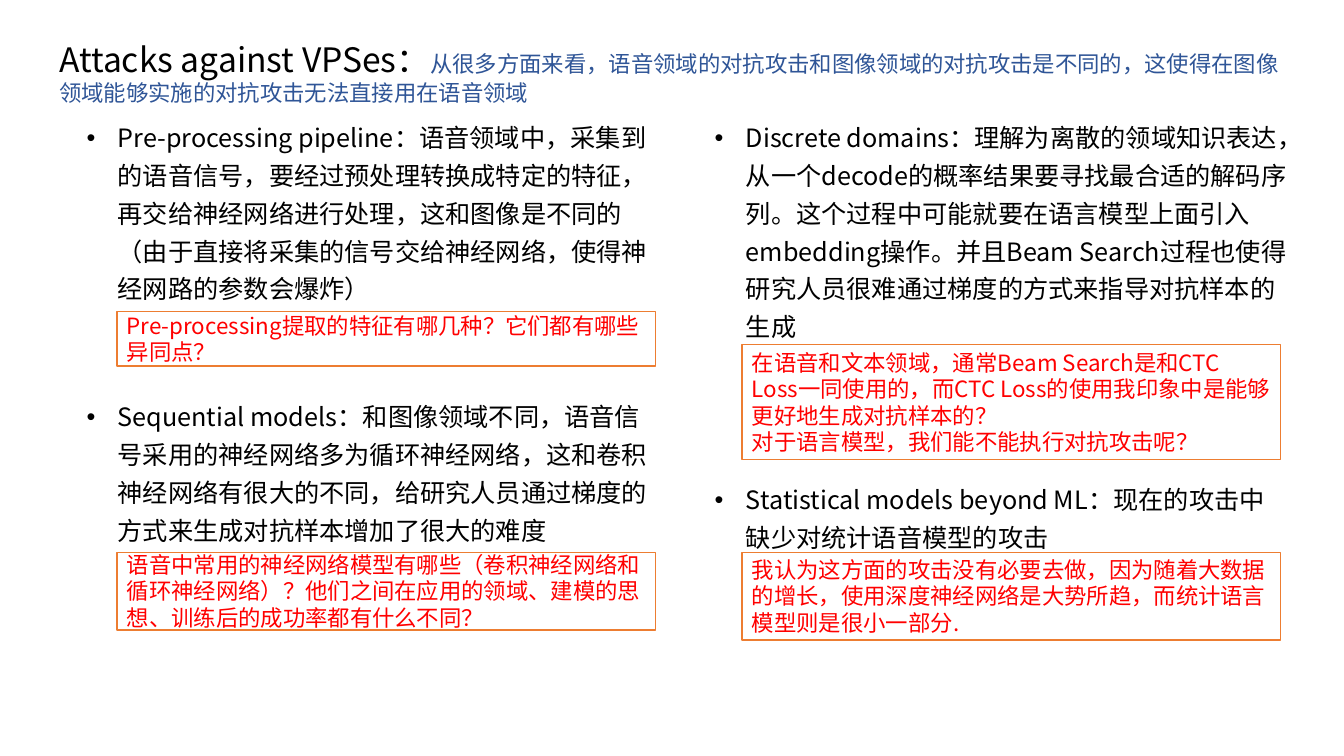
from dataclasses import dataclass

from lxml import etree
from pptx import Presentation
from pptx.dml.color import RGBColor
from pptx.enum.lang import MSO_LANGUAGE_ID
from pptx.enum.shapes import MSO_SHAPE
from pptx.enum.text import MSO_ANCHOR, PP_ALIGN
from pptx.oxml.ns import qn
from pptx.util import Inches, Pt

RECTANGLE = MSO_SHAPE.RECTANGLE
MIDDLE, TOP = MSO_ANCHOR.MIDDLE, MSO_ANCHOR.TOP
LEFT = PP_ALIGN.LEFT
CHINESE = MSO_LANGUAGE_ID.SIMPLIFIED_CHINESE

FONT = "Noto Sans CJK SC"
BLACK, BLUE, RED, ORANGE, WHITE = "000000", "2F5597", "FF0000", "ED7D31", "FFFFFF"
SLIDE_WIDTH, SLIDE_HEIGHT = 13.33, 7.5
TOPIC_LEFTS, TOPIC_WIDTH = (0.76, 6.99), 5.88
NOTE_LEFTS, NOTE_WIDTH = (1.16, 7.36), 5.34
HANGING = 0.31


@dataclass(frozen=True)
class Topic:
    column: int
    top: float
    height: float
    text: str
    note_top: float
    note_height: float
    note_lines: tuple[str, ...]


TOPICS = (
    Topic(0, 1.09, 1.99,
          "Pre-processing pipeline：语音领域中，采集到的语音信号，要经过预处理转换成特定的特征，"
          "再交给神经网络进行处理，这和图像是不同的（由于直接将采集的信号交给神经网络，"
          "使得神经网路的参数会爆炸）",
          3.09, 0.54,
          ("Pre-processing提取的特征有哪几种？它们都有哪些异同点？",)),
    Topic(1, 1.09, 2.37,
          "Discrete domains：理解为离散的领域知识表达，从一个decode的概率结果要寻找最合适的解码序列。"
          "这个过程中可能就要在语言模型上面引入embedding操作。并且Beam Search过程也使得研究人员"
          "很难通过梯度的方式来指导对抗样本的生成",
          3.42, 1.14,
          ("在语音和文本领域，通常Beam Search是和CTC Loss一同使用的，"
           "而CTC Loss的使用我印象中是能够更好地生成对抗样本的？",
           "对于语言模型，我们能不能执行对抗攻击呢？")),
    Topic(0, 3.86, 1.62,
          "Sequential models：和图像领域不同，语音信号采用的神经网络多为循环神经网络，"
          "这和卷积神经网络有很大的不同，给研究人员通过梯度的方式来生成对抗样本增加了很大的难度",
          5.48, 0.77,
          ("语音中常用的神经网络模型有哪些（卷积神经网络和循环神经网络）？"
           "他们之间在应用的领域、建模的思想、训练后的成功率都有什么不同？",)),
    Topic(1, 4.68, 0.86,
          "Statistical models beyond ML：现在的攻击中缺少对统计语音模型的攻击",
          5.48, 0.87,
          ("我认为这方面的攻击没有必要去做，因为随着大数据的增长，使用深度神经网络是大势所趋，"
           "而统计语言模型则是很小一部分.",)),
)


def color(value: str) -> RGBColor:
    return RGBColor.from_string(value)


def style_paragraph(para, size: float, ink: str, pitch: float) -> None:
    para.alignment = LEFT
    para.line_spacing = Pt(pitch)
    para.font.name = FONT
    para.font.size = Pt(size)
    para.font.color.rgb = color(ink)
    para.font.language_id = CHINESE
    defaults = para._p.get_or_add_pPr().find(qn("a:defRPr"))
    etree.SubElement(defaults, qn("a:ea")).set("typeface", FONT)


def add_bullet(para) -> None:
    properties = para._p.get_or_add_pPr()
    properties.set("marL", str(Inches(HANGING)))
    properties.set("indent", str(-Inches(HANGING)))
    defaults = properties.find(qn("a:defRPr"))
    for tag, key, value in (("a:buFont", "typeface", "Arial"), ("a:buChar", "char", "•")):
        bullet = etree.Element(qn(tag))
        bullet.set(key, value)
        defaults.addprevious(bullet)


def add_text_box(page, left: float, top: float, width: float, height: float):
    box = page.shapes.add_textbox(Inches(left), Inches(top), Inches(width), Inches(height))
    box.text_frame.word_wrap = True
    box.text_frame.vertical_anchor = TOP
    return box


def add_title(page) -> None:
    box = add_text_box(page, 0.49, 0.32, 12.31, 0.77)
    box.text_frame.margin_top = Inches(0.2)
    para = box.text_frame.paragraphs[0]
    style_paragraph(para, 16, BLUE, 19)
    heading = para.add_run()
    heading.text = "Attacks against VPSes："
    heading.font.size = Pt(24)
    heading.font.color.rgb = color(BLACK)
    para.add_run().text = (
        "从很多方面来看，语音领域的对抗攻击和图像领域的对抗攻击是不同的，"
        "这使得在图像领域能够实施的对抗攻击无法直接用在语音领域"
    )


def add_topic(page, topic: Topic) -> None:
    box = add_text_box(page, TOPIC_LEFTS[topic.column], topic.top, TOPIC_WIDTH, topic.height)
    para = box.text_frame.paragraphs[0]
    para.text = topic.text
    style_paragraph(para, 18, BLACK, 27)
    add_bullet(para)


def add_note(page, topic: Topic) -> None:
    note = page.shapes.add_shape(
        RECTANGLE, Inches(NOTE_LEFTS[topic.column]), Inches(topic.note_top),
        Inches(NOTE_WIDTH), Inches(topic.note_height))
    note.shadow.inherit = False
    note.fill.solid()
    note.fill.fore_color.rgb = color(WHITE)
    note.line.color.rgb = color(ORANGE)
    note.line.width = Pt(1)
    frame = note.text_frame
    frame.word_wrap = True
    frame.vertical_anchor = MIDDLE
    frame.text = "\n".join(topic.note_lines)
    for para in frame.paragraphs:
        style_paragraph(para, 16, RED, 19)


def main() -> None:
    deck = Presentation()
    deck.slide_width = Inches(SLIDE_WIDTH)
    deck.slide_height = Inches(SLIDE_HEIGHT)
    page = deck.slides.add_slide(deck.slide_layouts[6])
    add_title(page)
    for topic in TOPICS:
        add_topic(page, topic)
        add_note(page, topic)
    deck.save("out.pptx")


main()
